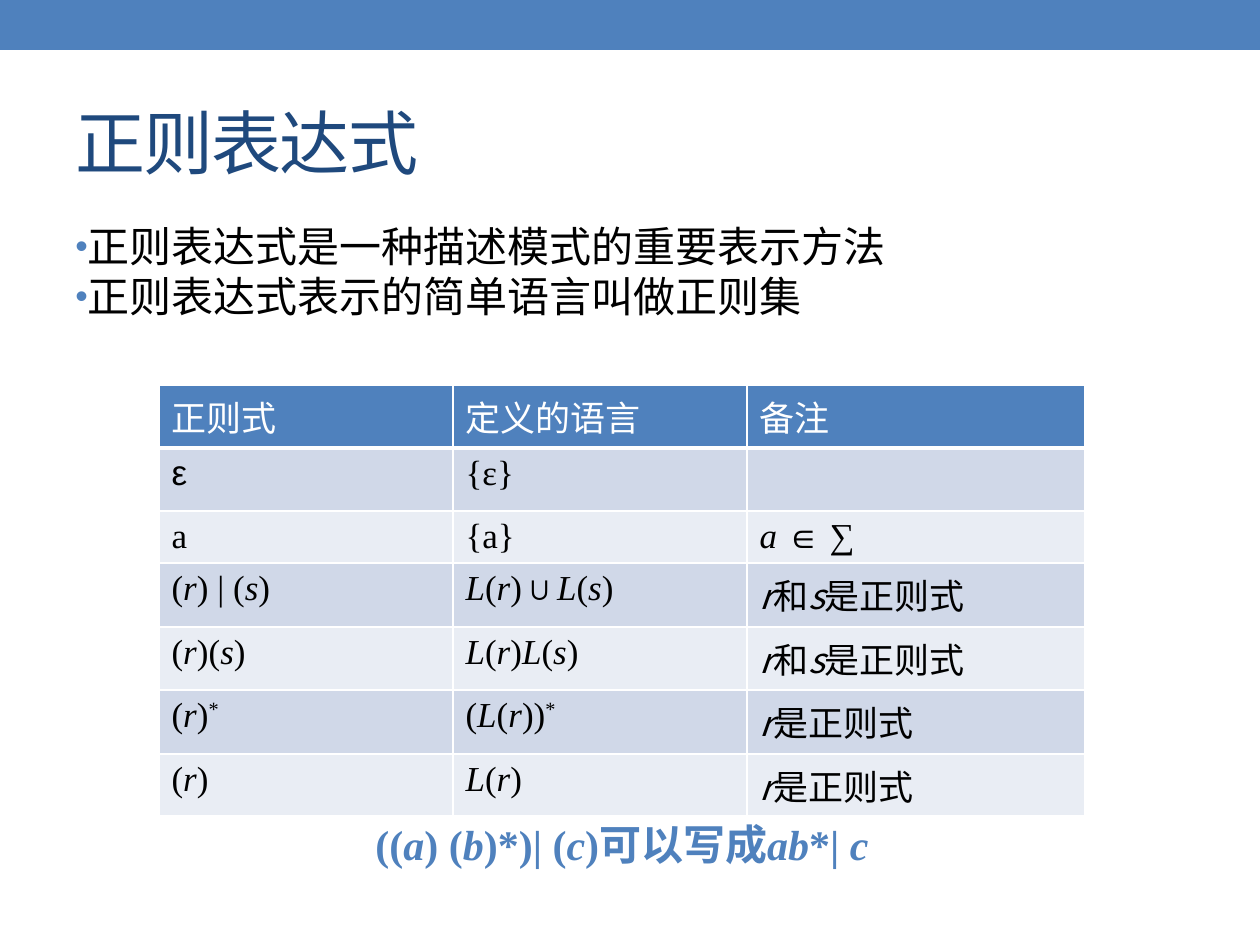
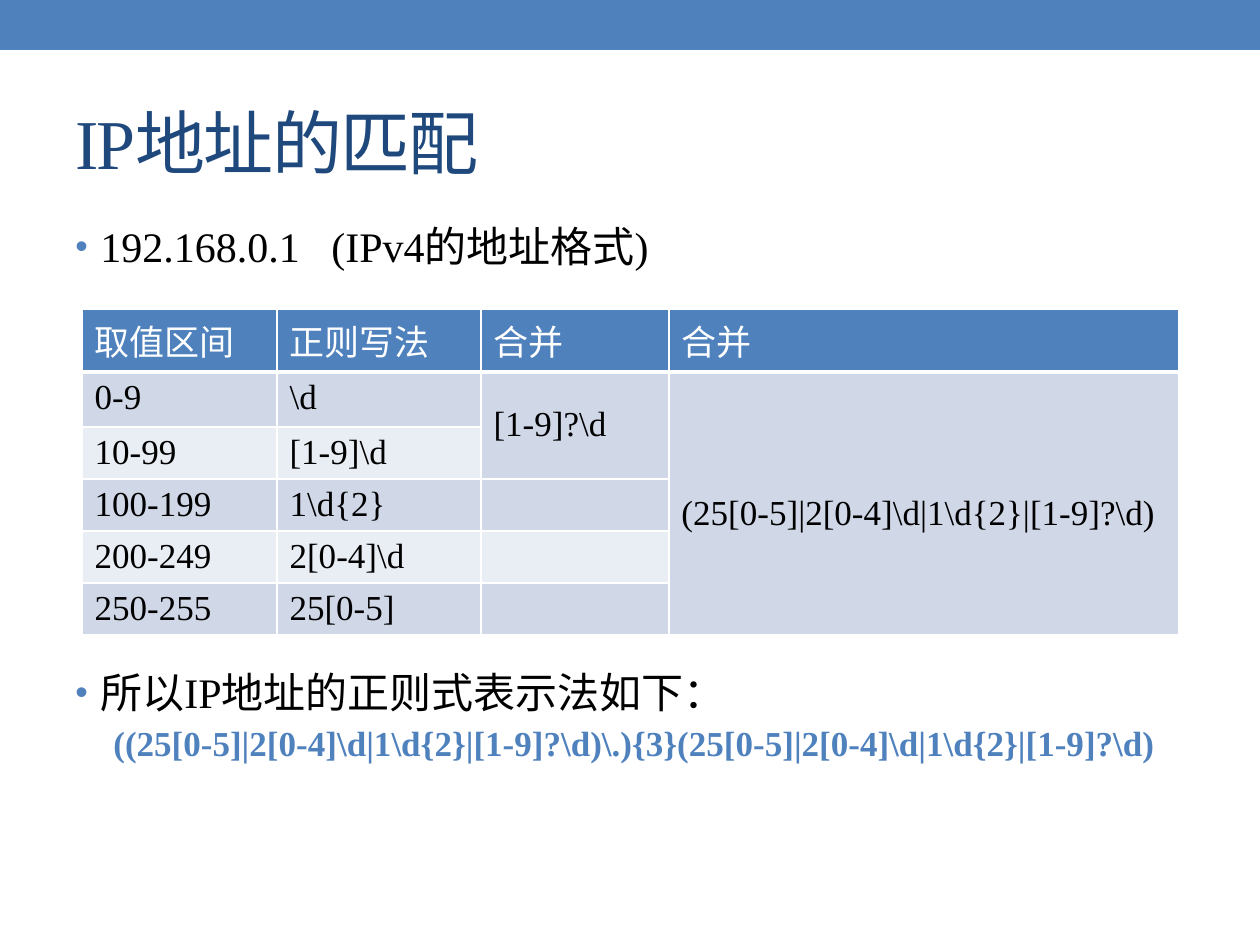
import pptx
import pptx.util
import pptx.dml.color
import pptx.enum.shapes
import pptx.enum.text
import pptx.oxml
import pptx.oxml.ns
from lxml import etree

PX = 914400 / 126
COLORS = {
    "accent": "4F81BD",
    "title": "1F497D",
    "text": "000000",
    "white": "FFFFFF",
    "odd_row": "D0D8E8",
    "even_row": "E9EDF4",
}
SERIF, SANS, CJK = "Times New Roman", "Arial", "Noto Sans CJK SC"
MIDDLE = pptx.enum.text.MSO_ANCHOR.MIDDLE


def emu(px):
    return pptx.util.Emu(round(px * PX))


def rgb(name):
    return pptx.dml.color.RGBColor.from_string(COLORS[name])


def add_element(parent, tag, **attributes):
    return etree.SubElement(parent, pptx.oxml.ns.qn(tag), **attributes)


class Deck:
    def __init__(self):
        self.presentation = pptx.Presentation()
        self.presentation.slide_width = emu(1260)
        self.presentation.slide_height = emu(945)
        self.slide = None

    def new_slide(self, title):
        blank = self.presentation.slide_layouts[6]
        self.slide = self.presentation.slides.add_slide(blank)
        self.band()
        heading = self.text_box(63, 73, 1134, 136, MIDDLE).paragraphs[0]
        self.add_text(heading, title, 40, "title", spacing=-1)

    def band(self):
        band = self.slide.shapes.add_shape(
            pptx.enum.shapes.MSO_SHAPE.RECTANGLE, 0, 0, emu(1260), emu(50))
        band.shadow.inherit = False
        band.fill.solid()
        band.fill.fore_color.rgb = rgb("accent")
        band.line.fill.background()

    def text_box(self, left, top, width, height, anchor=None):
        box = self.slide.shapes.add_textbox(
            emu(left), emu(top), emu(width), emu(height))
        frame = box.text_frame
        frame.word_wrap = True
        frame.vertical_anchor = anchor
        return frame

    def add_text(self, paragraph, text, size=24, color="text", font=SERIF,
                 bold=False, spacing=0):
        """Append text; _..._ is italic and ^ raises what follows it."""
        for i, piece in enumerate(text.split("_")):
            for j, part in enumerate(piece.split("^")):
                if not part:
                    continue
                run = paragraph.add_run()
                run.text = part
                run.font.size = pptx.util.Pt(size)
                run.font.name = font
                run.font.bold = bold
                run.font.italic = i % 2 == 1
                run.font.color.rgb = rgb(color)
                properties = run._r.get_or_add_rPr()
                add_element(properties, "a:ea", typeface=CJK)
                if j:
                    properties.set("baseline", "30000")
                if spacing:
                    properties.set("spc", str(spacing * 100))

    def body_paragraph(self, frame, margin, indent=0, before=0, bullet=True):
        first = not frame.paragraphs[0].runs
        paragraph = frame.paragraphs[0] if first else frame.add_paragraph()
        properties = paragraph._p.get_or_add_pPr()
        properties.set("marL", str(emu(margin)))
        properties.set("indent", str(emu(indent)))
        if bullet:
            color = add_element(properties, "a:buClr")
            add_element(color, "a:srgbClr", val=COLORS["accent"])
            add_element(properties, "a:buSzPct", val="85000")
            add_element(properties, "a:buFont", typeface=SANS)
            add_element(properties, "a:buChar", char="•")
        paragraph.line_spacing = 0.9
        if before:
            paragraph.space_before = pptx.util.Pt(before)
        return paragraph

    def borders(self, cell, top, bottom):
        properties = cell._tc.get_or_add_tcPr()
        sides = {"a:lnL": 1, "a:lnR": 1, "a:lnT": top, "a:lnB": bottom}
        for position, (tag, points) in enumerate(sides.items()):
            line = etree.Element(pptx.oxml.ns.qn(tag), w=str(points * 12700))
            fill = add_element(line, "a:solidFill")
            add_element(fill, "a:srgbClr", val=COLORS["white"])
            properties.insert(position, line)

    def table(self, left, top, widths, heights, rows, fonts=None):
        table = self.slide.shapes.add_table(
            len(heights), len(widths), emu(left), emu(top),
            emu(sum(widths)), emu(sum(heights))).table
        for column, width in zip(table.columns, widths):
            column.width = emu(width)
        for row, height in zip(table.rows, heights):
            row.height = emu(height)
        for r, texts in enumerate(rows):
            stripe = "accent" if r == 0 else "odd_row" if r % 2 else "even_row"
            for c, text in enumerate(texts):
                cell = table.cell(r, c)
                cell.margin_top, cell.margin_bottom = emu(6), emu(4)
                cell.fill.solid()
                cell.fill.fore_color.rgb = rgb(stripe)
                self.borders(cell, 3 if r == 1 else 1, 3 if r == 0 else 1)
                self.add_text(cell.text_frame.paragraphs[0], text, 20,
                              "text" if r else "white",
                              (fonts or {}).get((r, c), SERIF))
        return table

    def merge_down(self, table, column, first, last, line_spacing):
        cell = table.cell(first, column)
        cell.merge(table.cell(last, column))
        cell.text_frame.paragraphs[0].line_spacing = line_spacing


def regular_expressions(deck):
    deck.new_slide("正则表达式")
    points = deck.text_box(63, 220, 1134, 672)
    for before, point in ((0, "正则表达式是一种描述模式的重要表示方法"),
                          (2.5, "正则表达式表示的简单语言叫做正则集")):
        deck.add_text(deck.body_paragraph(points, 0, -25, before), point)

    # Expressions and the languages they define
    definitions = [
        ("正则式", "定义的语言", "备注"),
        ("ε", "{ε}", ""),
        ("a", "{a}", "_a_ ∈ ∑"),
        ("(_r_) | (_s_)", "_L_(_r_)∪_L_(_s_)", "_r_和_s_是正则式"),
        ("(_r_)(_s_)", "_L_(_r_)_L_(_s_)", "_r_和_s_是正则式"),
        ("(_r_)^*", "(_L_(_r_))^*", "_r_是正则式"),
        ("(_r_)", "_L_(_r_)", "_r_是正则式"),
    ]
    note_fonts = {(r, 2): CJK for r in range(3, 7)}
    deck.table(159, 385, (294, 294, 338), (63, 63, 52, 64, 63, 64, 62),
               definitions, {(1, 0): SANS, **note_fonts})

    # Shorthand example
    shorthand = deck.text_box(345, 794, 554, 100, MIDDLE).paragraphs[0]
    shorthand.alignment = pptx.enum.text.PP_ALIGN.CENTER
    deck.add_text(shorthand, "((_a_) (_b_)*)| (_c_)可以写成_ab_*| _c_",
                  color="accent", bold=True)


def ip_address(deck):
    octet = r"(25[0-5]|2[0-4]\d|1\d{2}|[1-9]?\d)"
    deck.new_slide("IP地址的匹配")
    body = deck.text_box(63, 220, 1120, 654)
    address = deck.body_paragraph(body, 25, -25)
    deck.add_text(address, "192.168.0.1")
    deck.add_text(address, " ", spacing=12)
    deck.add_text(address, "(IPv4的地址格式)")

    # The conclusion stands below the table
    conclusion = deck.body_paragraph(body, 25, -25, before=229)
    deck.add_text(conclusion, "所以IP地址的正则式表示法如下：")
    pattern = deck.body_paragraph(body, 38, before=5, bullet=False)
    deck.add_text(pattern, rf"({octet}\.){{3}}{octet}", 20, "accent", bold=True)

    # Value ranges of one octet
    ranges = [
        ("取值区间", "正则写法", "合并", "合并"),
        ("0-9", r"\d", r"[1-9]?\d", octet),
        ("10-99", r"[1-9]\d", "", ""),
        ("100-199", r"1\d{2}", "", ""),
        ("200-249", r"2[0-4]\d", "", ""),
        ("250-255", "25[0-5]", "", ""),
    ]
    octets = deck.table(82, 309, (195, 204, 188, 510),
                        (63, 55, 51, 52, 51, 51), ranges)
    deck.merge_down(octets, 2, 1, 2, 1.7)
    deck.merge_down(octets, 3, 1, 5, 4)


def main():
    deck = Deck()
    regular_expressions(deck)
    ip_address(deck)
    deck.presentation.save("out.pptx")


if __name__ == "__main__":
    main()
